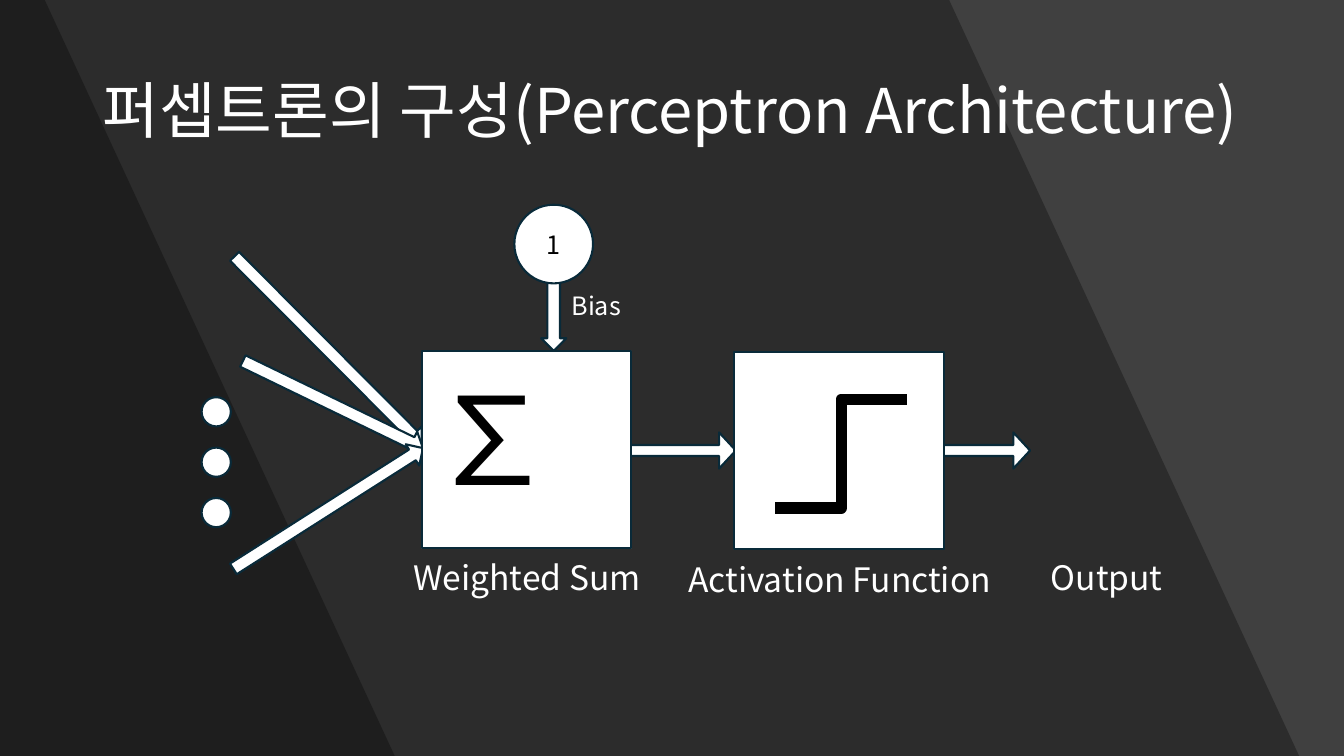
from math import atan2, degrees, hypot

from lxml.etree import SubElement
from pptx import Presentation
from pptx.dml.color import RGBColor
from pptx.enum.shapes import MSO_CONNECTOR as CONN, MSO_SHAPE as SHAPE
from pptx.enum.text import MSO_ANCHOR as ANCHOR, MSO_AUTO_SIZE as FIT, PP_ALIGN as ALIGN
from pptx.oxml.ns import qn
from pptx.util import Pt

COLORS = {"bg": "404040", "ink": "000000", "white": "FFFFFF", "edge": "092A39"}
FONT = "Noto Sans CJK KR"


def rgb(name):
    """Return the named colour."""
    return RGBColor.from_string(COLORS[name])


def write(tf, text, size=24, color="white", align=ALIGN.CENTER, anchor=ANCHOR.TOP,
          spacing=None, wrap=True):
    """Put one formatted paragraph in a text frame."""
    tf.word_wrap = wrap
    tf.auto_size = FIT.NONE
    tf.vertical_anchor = anchor
    p = tf.paragraphs[0]
    p.alignment = align
    p.line_spacing = spacing
    r = p.add_run()
    r.text = text
    r.font.size = Pt(size)
    r.font.name = FONT
    r.font.color.rgb = rgb(color)
    SubElement(r.font._element, qn("a:ea")).set("typeface", FONT)


def add_label(s, text, x, y, w, h, **fmt):
    """Add a text box."""
    write(s.shapes.add_textbox(Pt(x), Pt(y), Pt(w), Pt(h)).text_frame, text, **fmt)


def add_block(s, kind, x, y, w, h):
    """Add a white shape with a dark edge."""
    sp = s.shapes.add_shape(kind, Pt(x), Pt(y), Pt(w), Pt(h))
    sp.shadow.inherit = False
    sp.fill.solid()
    sp.fill.fore_color.rgb = rgb("white")
    sp.line.color.rgb = rgb("edge")
    sp.line.width = Pt(1.5)
    return sp


def add_arrow(s, tail, tip, thick=18, adj=(0.5, 0.5)):
    """Add a block arrow running from tail to tip."""
    dx, dy = tip[0] - tail[0], tip[1] - tail[1]
    length = hypot(dx, dy)
    x, y = (tail[0] + tip[0] - length) / 2, (tail[1] + tip[1] - thick) / 2
    sp = add_block(s, SHAPE.RIGHT_ARROW, x, y, length, thick)
    sp.rotation = degrees(atan2(dy, dx)) % 360
    sp.adjustments[0], sp.adjustments[1] = adj


def add_backdrop(s, x, y, w, h):
    """Fill the background and lay two slanted translucent panels on it."""
    s.background.fill.solid()
    s.background.fill.fore_color.rgb = rgb("bg")
    for top, bottom in ((678.2, 928.1), (31.7, 282.2)):
        fb = s.shapes.build_freeform(x, y, scale=Pt(1))
        fb.add_line_segments([(x + top, y), (x + bottom, y + h), (x, y + h)])
        sp = fb.convert_to_shape()
        sp.shadow.inherit = False
        sp.fill.solid()
        sp.fill.fore_color.rgb = rgb("ink")
        sp.line.fill.background()
        clr = sp.element.spPr.find(".//" + qn("a:srgbClr"))
        SubElement(clr, qn("a:alpha")).set("val", "30000")


def add_title(s, text, x, y, w, h):
    """Place the title placeholder above the backdrop."""
    sp = s.shapes.title
    sp.left, sp.top, sp.width, sp.height = Pt(x), Pt(y), Pt(w), Pt(h)
    write(sp.text_frame, text, size=44, align=ALIGN.LEFT, anchor=ANCHOR.MIDDLE, spacing=0.9)
    s.shapes.element.append(sp.element)


def add_inputs(s, x, y, w, h):
    """Draw the ellipsis dots and the input arrows."""
    for i in range(3):
        add_block(s, SHAPE.OVAL, x, y + 100.6 + 36 * i, 20.9, 20.9)
    for tail, tip in (((23.5, 0), (w - 1, 134.2)),
                      ((29.5, 74.8), (w, 137.2)),
                      ((22.7, h), (w, 137))):
        add_arrow(s, (x + tail[0], y + tail[1]), (x + tip[0], y + tip[1]))


def add_bias(s, x, y, w, h):
    """Draw the bias node with its arrow and label."""
    mid = x + w / 2
    add_arrow(s, (mid, y + w - 2.9), (mid, y + h))
    sp = add_block(s, SHAPE.OVAL, x, y, w, w)
    write(sp.text_frame, "1", size=18, color="ink", anchor=ANCHOR.MIDDLE)
    add_label(s, "Bias", x + 33.8, y + 57.6, 50.4, 28.8, size=18, align=ALIGN.LEFT, wrap=False)


def add_weighted_sum(s, x, y, w, h):
    """Draw the summation box and its caption."""
    sp = add_block(s, SHAPE.RECTANGLE, x, y, w, h)
    write(sp.text_frame, "∑", size=88, color="ink", align=ALIGN.JUSTIFY,
          anchor=ANCHOR.MIDDLE, spacing=0.8)
    add_label(s, "Weighted Sum", x - 23.8, y + h + 2.9, 198, 36)


def add_activation(s, x, y, w, h):
    """Draw the activation box with its step curve and caption."""
    add_block(s, SHAPE.RECTANGLE, x, y, w, h)
    step = s.shapes.add_connector(CONN.ELBOW, Pt(x + 29.5), Pt(y + 111.6),
                                  Pt(x + 123.8), Pt(y + 33.8))
    step.line.color.rgb = rgb("ink")
    step.line.width = Pt(8)
    SubElement(step.element.spPr, qn("a:effectLst"))
    add_label(s, "Activation Function", x - 41.1, y + h + 3.6, 233.3, 36)


def add_flow(s, x, y, w):
    """Draw the arrows out of both boxes."""
    for start, end in ((0, 75.6), (221, w)):
        add_arrow(s, (x + start, y), (x + end, y), thick=25.9, adj=(0.304, 0.461))


def main():
    """Build the perceptron slide."""
    prs = Presentation()
    prs.slide_width, prs.slide_height = Pt(960), Pt(540)
    s = prs.slides.add_slide(prs.slide_layouts[5])
    add_backdrop(s, 0, 0, 960, 540)
    add_title(s, "퍼셉트론의 구성(Perceptron Architecture)", 66, 28.8, 828, 104.4)
    add_inputs(s, 144, 183.1, 158.2, 223.3)
    add_flow(s, 450, 321.8, 285.8)
    add_bias(s, 367.4, 146.2, 56.2, 104.4)
    add_weighted_sum(s, 301.2, 250.6, 149.8, 141.1)
    add_activation(s, 524.2, 251.3, 149.8, 141.1)
    add_label(s, "Output", 707, 394.6, 167, 36)
    prs.save("out.pptx")


if __name__ == "__main__":
    main()
